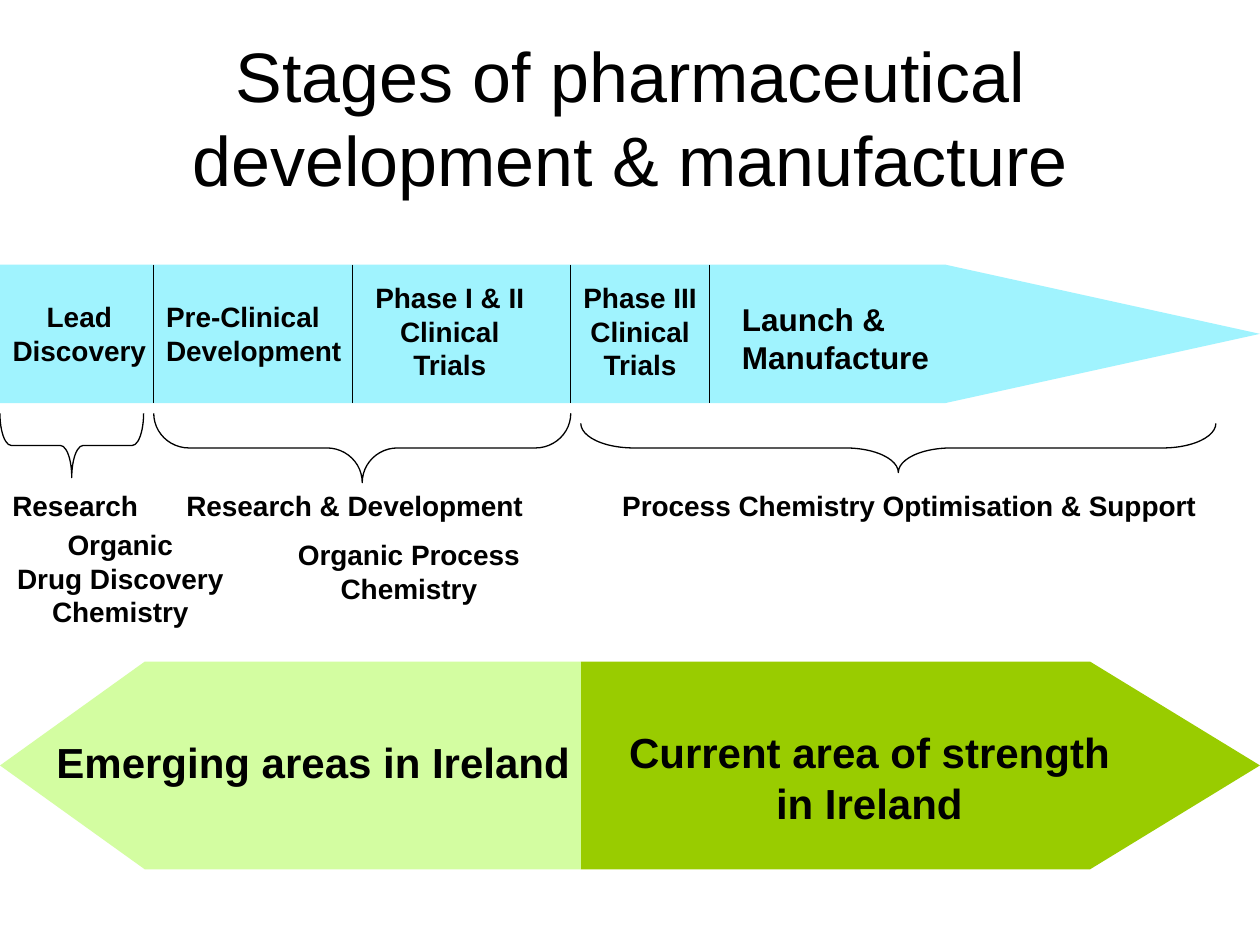
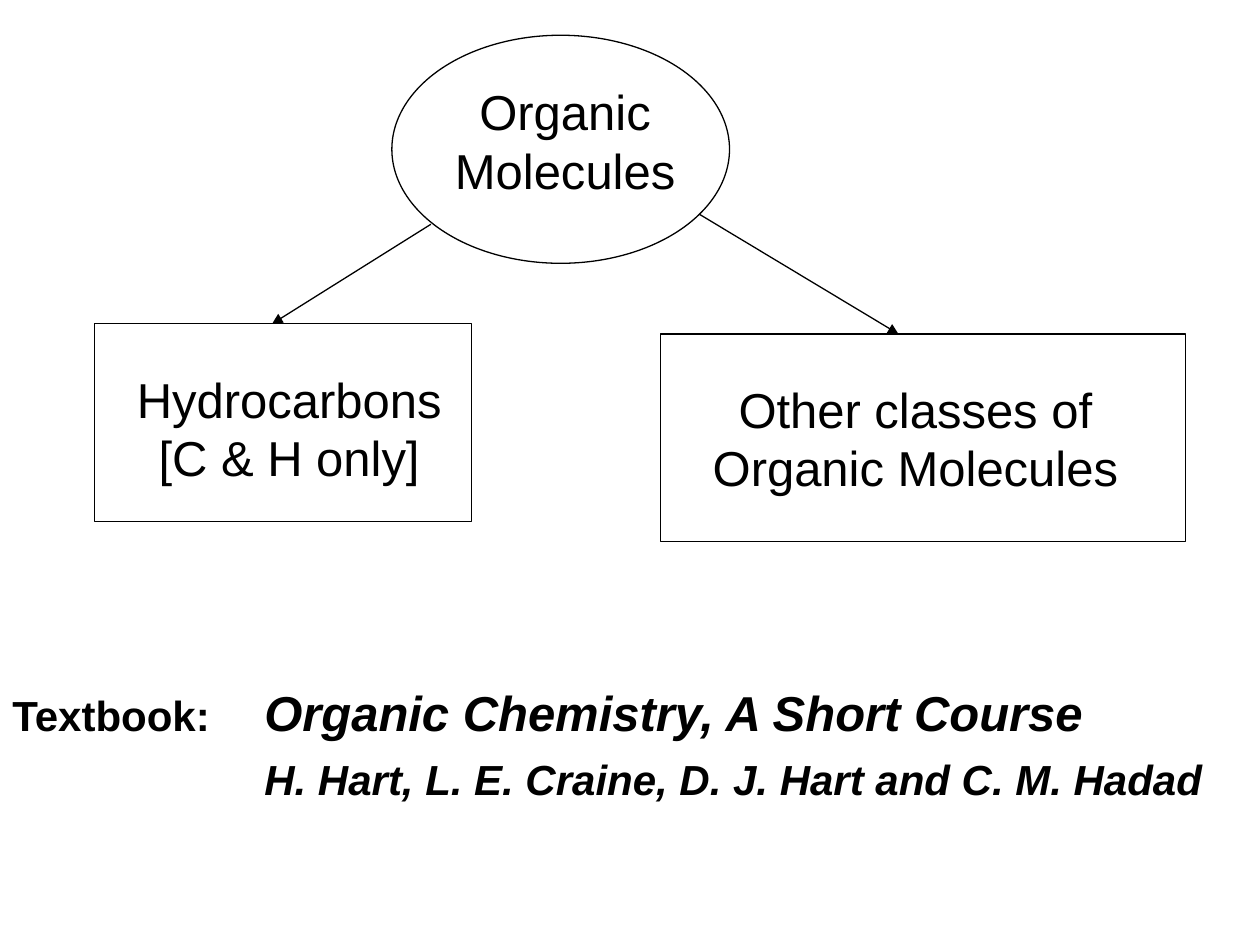
from lxml import etree
from pptx import Presentation
from pptx.dml.color import RGBColor
from pptx.enum.shapes import MSO_CONNECTOR, MSO_SHAPE as SHAPE
from pptx.enum.text import MSO_ANCHOR as ANCHOR, MSO_AUTO_SIZE as AUTO_SIZE, PP_ALIGN as ALIGN
from pptx.oxml.ns import qn
from pptx.util import Emu, Pt

EMU_PER_PX = 9144  # 100 px to the inch
BLANK_LAYOUT = 6
FONT = "Arial"
BLACK = "000000"
STAGE_BLUE = "A0F3FE"
STRONG_GREEN = "99CC00"
EMERGING_GREEN = "D3FDA1"


def px(length):
    return Emu(round(length * EMU_PER_PX))


def color(hex_string):
    return RGBColor.from_string(hex_string)


class Deck:
    """Holds the shared style and the slide being drawn."""

    line_width = Pt(0.75)

    def __init__(self, width, height):
        self.presentation = Presentation()
        self.presentation.slide_width = px(width)
        self.presentation.slide_height = px(height)
        self.slide = None

    def new_slide(self):
        layout = self.presentation.slide_layouts[BLANK_LAYOUT]
        self.slide = self.presentation.slides.add_slide(layout)

    def style_run(self, run, size, bold=False, italic=False):
        run.font.name = FONT
        run.font.size = Pt(size)
        run.font.bold = bold
        run.font.italic = italic
        run.font.color.rgb = color(BLACK)

    def text(self, left, top, width, height, text, size=16, bold=True,
             align=ALIGN.CENTER, wrap=True, anchor=ANCHOR.TOP):
        box = self.slide.shapes.add_textbox(px(left), px(top), px(width), px(height))
        frame = box.text_frame
        frame.word_wrap = wrap
        frame.vertical_anchor = anchor
        if anchor == ANCHOR.TOP:
            frame.auto_size = AUTO_SIZE.SHAPE_TO_FIT_TEXT
        frame.text = text
        for paragraph in frame.paragraphs:
            paragraph.alignment = align
            for run in paragraph.runs:
                self.style_run(run, size, bold)
        return frame

    def title(self, text):
        self.text(50, 30, 900, 125, text, size=40, bold=False, anchor=ANCHOR.MIDDLE)

    def shape(self, kind, left, top, width, height, fill=None):
        """A filled shape has no outline; an unfilled one has a thin black line."""
        shape = self.slide.shapes.add_shape(kind, px(left), px(top), px(width), px(height))
        shape.shadow.inherit = False
        if fill:
            shape.fill.solid()
            shape.fill.fore_color.rgb = color(fill)
            shape.line.fill.background()
        else:
            shape.fill.background()
            shape.line.color.rgb = color(BLACK)
            shape.line.width = self.line_width
        return shape

    def block_arrow(self, left, top, width, height, head, fill, rotation=0):
        arrow = self.shape(SHAPE.PENTAGON, left, top, width, height, fill)
        arrow.adjustments[0] = head / height
        arrow.rotation = rotation

    def brace_below(self, left, top, length, depth, radius):
        """A left brace turned so that its point faces down."""
        shift = (length - depth) / 2
        brace = self.shape(SHAPE.LEFT_BRACE, left + shift, top - shift, depth, length)
        brace.adjustments[0] = radius / depth
        brace.rotation = 270

    def line(self, x1, y1, x2, y2, arrow=False):
        connector = self.slide.shapes.add_connector(
            MSO_CONNECTOR.STRAIGHT, px(x1), px(y1), px(x2), px(y2))
        connector.line.color.rgb = color(BLACK)
        connector.line.width = self.line_width
        if arrow:
            outline = connector.line._get_or_add_ln()
            etree.SubElement(outline, qn("a:tailEnd"), type="triangle")
        etree.SubElement(connector._element.spPr, qn("a:effectLst"))


def build_stages(deck):
    deck.new_slide()
    deck.title("Stages of pharmaceutical development & manufacture")

    # Stage arrow with its dividers and labels
    band_top, band_height = 210, 110
    deck.block_arrow(0, band_top, 1000, band_height, 250, STAGE_BLUE)
    for x in (122, 280, 453, 563):
        deck.line(x, band_top, x, band_top + band_height)
    deck.text(0, 233, 126, 64, "Lead\nDiscovery")
    deck.text(122, 233, 160, 64, "Pre-Clinical\nDevelopment", align=ALIGN.LEFT)
    deck.text(287, 218, 140, 90, "Phase I & II\nClinical\nTrials", wrap=False)
    deck.text(452, 218, 112, 90, "Phase III\nClinical\nTrials", wrap=False)
    deck.text(579, 233, 174, 70, "Launch &\nManufacture", size=18, align=ALIGN.LEFT)

    # Braces and the activity under each
    deck.brace_below(0, 328, 114, 51, 9)
    deck.brace_below(122, 328, 331, 55, 28)
    deck.brace_below(461, 336, 504, 39, 42)
    for left, width, activity in (
            (0, 124, "Research"),
            (138, 292, "Research & Development"),
            (484, 516, "Process Chemistry Optimisation & Support")):
        deck.text(left, 383, width, 37, activity, align=ALIGN.LEFT)
    deck.text(0, 414, 191, 90, "Organic\nDrug Discovery Chemistry")
    deck.text(209, 422, 231, 64, "Organic Process Chemistry")

    # Areas in Ireland
    area_top, area_height, split = 525, 165, 461
    deck.block_arrow(split, area_top, 1000 - split, area_height, 135, STRONG_GREEN)
    deck.text(484, 572, 412, 90, "Current area of strength in Ireland", size=24)
    deck.block_arrow(0, area_top, split, area_height, 115, EMERGING_GREEN, rotation=180)
    deck.text(35, 580, 434, 50, "Emerging areas in Ireland", size=24, align=ALIGN.LEFT)


def build_molecules(deck):
    deck.new_slide()

    # Classification tree: outline, then its label
    for kind, outline, label_box, label in (
            (SHAPE.OVAL, (311, 28, 268, 181), (348, 60, 201, 104),
             "Organic\nMolecules"),
            (SHAPE.RECTANGLE, (75, 257, 299, 157), (96, 288, 267, 104),
             "Hydrocarbons\n[C & H only]"),
            (SHAPE.RECTANGLE, (524, 265, 417, 165), (553, 296, 347, 104),
             "Other classes of\nOrganic Molecules")):
        deck.shape(kind, *outline)
        deck.text(*label_box, label, size=28, bold=False)
    deck.line(342, 178, 216, 257, arrow=True)
    deck.line(555, 170, 713, 265, arrow=True)

    # Textbook reference, the authors indented under the book title
    frame = deck.text(0, 525, 980, 119,
                      "Textbook:\t\nH. Hart, L. E. Craine, D. J. Hart and C. M. Hadad",
                      size=24, align=ALIGN.LEFT)
    heading, authors = frame.paragraphs
    book_title = heading.add_run()
    book_title.text = "Organic Chemistry, A Short Course"
    deck.style_run(book_title, 28, bold=True, italic=True)
    authors.runs[0].font.italic = True
    authors._p.get_or_add_pPr().set("marL", str(px(200)))
    for paragraph in frame.paragraphs:
        paragraph.line_spacing = 1.25


def main():
    deck = Deck(1000, 750)
    build_stages(deck)
    build_molecules(deck)
    deck.presentation.save("out.pptx")


if __name__ == "__main__":
    main()
